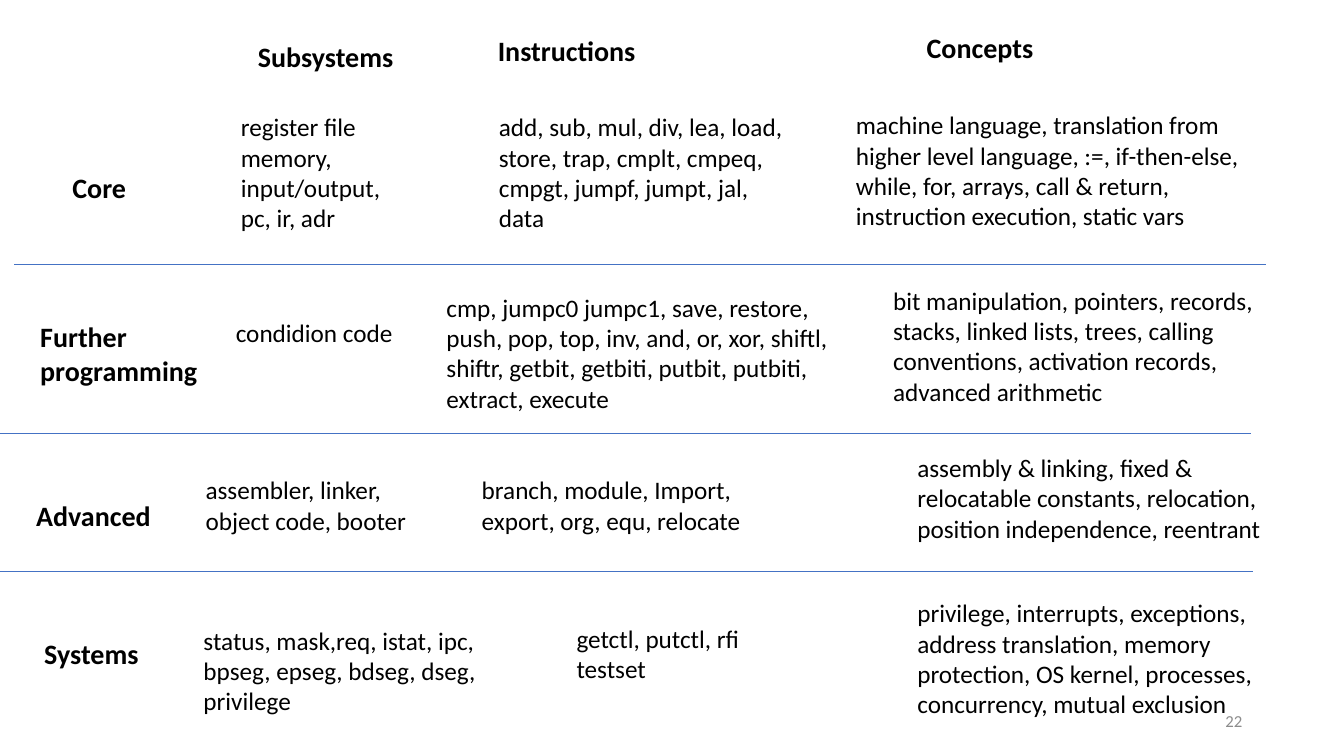
"""Build a slide listing subsystems, instructions and concepts by level."""
from pptx import Presentation
from pptx.dml.color import RGBColor
from pptx.enum.shapes import MSO_CONNECTOR
from pptx.enum.text import MSO_ANCHOR, MSO_AUTO_SIZE, PP_ALIGN
from pptx.oxml.ns import qn
from pptx.util import Inches, Pt

COLORS = {"text": "000000", "rule": "4472C4", "number": "8C8C8C"}
FONT = "Calibri"
LINE_HEIGHT = {18: 0.3, 20: 0.33}
PADDING = 0.1

# Each entry: text, left, top, width, number of lines
HEADINGS = [
    ("Subsystems", 2.27, 0.34, 1.92, 1),
    ("Instructions", 4.66, 0.28, 1.92, 1),
    ("Concepts", 8.76, 0.25, 1.92, 1),
]
LEVELS = [
    ("Core", 0.62, 1.64, 1, 1),
    ("Further\vprogramming", 0.3, 3.12, 1.91, 2),
    ("Advanced", 0.26, 4.9, 1.4, 1),
    ("Systems", 0.34, 6.27, 1.21, 1),
]
SUBSYSTEMS = [
    ("register file\vmemory,\vinput/output,\vpc, ir, adr", 2.29, 1.06, 2.15, 4),
    ("condidion code", 2.24, 3.1, 1.78, 1),
    ("assembler, linker,\nobject code, booter", 1.94, 4.66, 2.39, 2),
    ("status, mask,req, istat, ipc, bpseg, epseg, bdseg, dseg, privilege",
     1.92, 6.15, 3.1, 3),
]
INSTRUCTIONS = [
    ("add, sub, mul, div, lea, load, store, trap, cmplt, cmpeq, cmpgt, "
     "jumpf, jumpt, jal, data", 4.85, 1.06, 3.13, 4),
    ("cmp, jumpc0 jumpc1, save, restore, push, pop, top, inv, and, or, xor, "
     "shiftl, shiftr, getbit, getbiti, putbit, putbiti, extract, execute",
     4.33, 2.85, 4.15, 4),
    ("branch, module, Import, export, org, equ, relocate", 4.68, 4.66, 2.93, 2),
    ("getctl, putctl, rfi\vtestset", 5.62, 6.13, 2.03, 2),
]
CONCEPTS = [
    ("machine language, translation from higher level language, :=, "
     "if-then-else, while, for, arrays, call & return, instruction execution, "
     "static vars", 8.39, 1.04, 4.24, 4),
    ("bit manipulation, pointers, records, stacks, linked lists, trees, "
     "calling conventions, activation records, advanced arithmetic",
     8.76, 2.78, 3.81, 4),
    ("assembly & linking, fixed & relocatable constants, relocation, "
     "position independence, reentrant", 9, 4.44, 3.63, 3),
    ("privilege, interrupts, exceptions, address translation, memory "
     "protection, OS kernel, processes, concurrency, mutual exclusion",
     9, 5.88, 3.89, 4),
]
# Each entry: start, end, height on the page
RULES = [(0.14, 12.56, 2.62), (-0.02, 12.41, 4.3), (0, 12.43, 5.67)]


def add_text(page, text, left, top, width, height, size, color="text",
             bold=False, align=PP_ALIGN.LEFT):
    box = page.shapes.add_textbox(
        Inches(left), Inches(top), Inches(width), Inches(height))
    frame = box.text_frame
    frame.word_wrap = True
    frame.text = text
    for para in frame.paragraphs:
        para.alignment = align
        para.font.name = FONT
        para.font.size = Pt(size)
        para.font.bold = bold
        para.font.color.rgb = RGBColor.from_string(COLORS[color])
    return frame


def add_entries(page, entries, size, **style):
    for text, left, top, width, lines in entries:
        height = PADDING + lines * LINE_HEIGHT[size]
        frame = add_text(page, text, left, top, width, height, size, **style)
        frame.auto_size = MSO_AUTO_SIZE.SHAPE_TO_FIT_TEXT


def add_rule(page, start, end, top):
    rule = page.shapes.add_connector(
        MSO_CONNECTOR.STRAIGHT, Inches(start), Inches(top), Inches(end), Inches(top))
    rule.line.color.rgb = RGBColor.from_string(COLORS["rule"])
    rule.line.width = Pt(0.5)
    properties = rule._element.spPr
    properties.append(properties.makeelement(qn("a:effectLst"), {}))


deck = Presentation()
deck.slide_width, deck.slide_height = Inches(13.33), Inches(7.5)
page = deck.slides.add_slide(deck.slide_layouts[6])

add_entries(page, HEADINGS, 20, bold=True, align=PP_ALIGN.CENTER)
add_entries(page, LEVELS, 20, bold=True)
for column in (SUBSYSTEMS, INSTRUCTIONS, CONCEPTS):
    add_entries(page, column, 18)
for start, end, top in RULES:
    add_rule(page, start, end, top)

page_number = add_text(page, "22", 9.42, 6.95, 3, 0.4, 12, "number",
                       align=PP_ALIGN.RIGHT)
page_number.vertical_anchor = MSO_ANCHOR.MIDDLE

deck.save("out.pptx")
